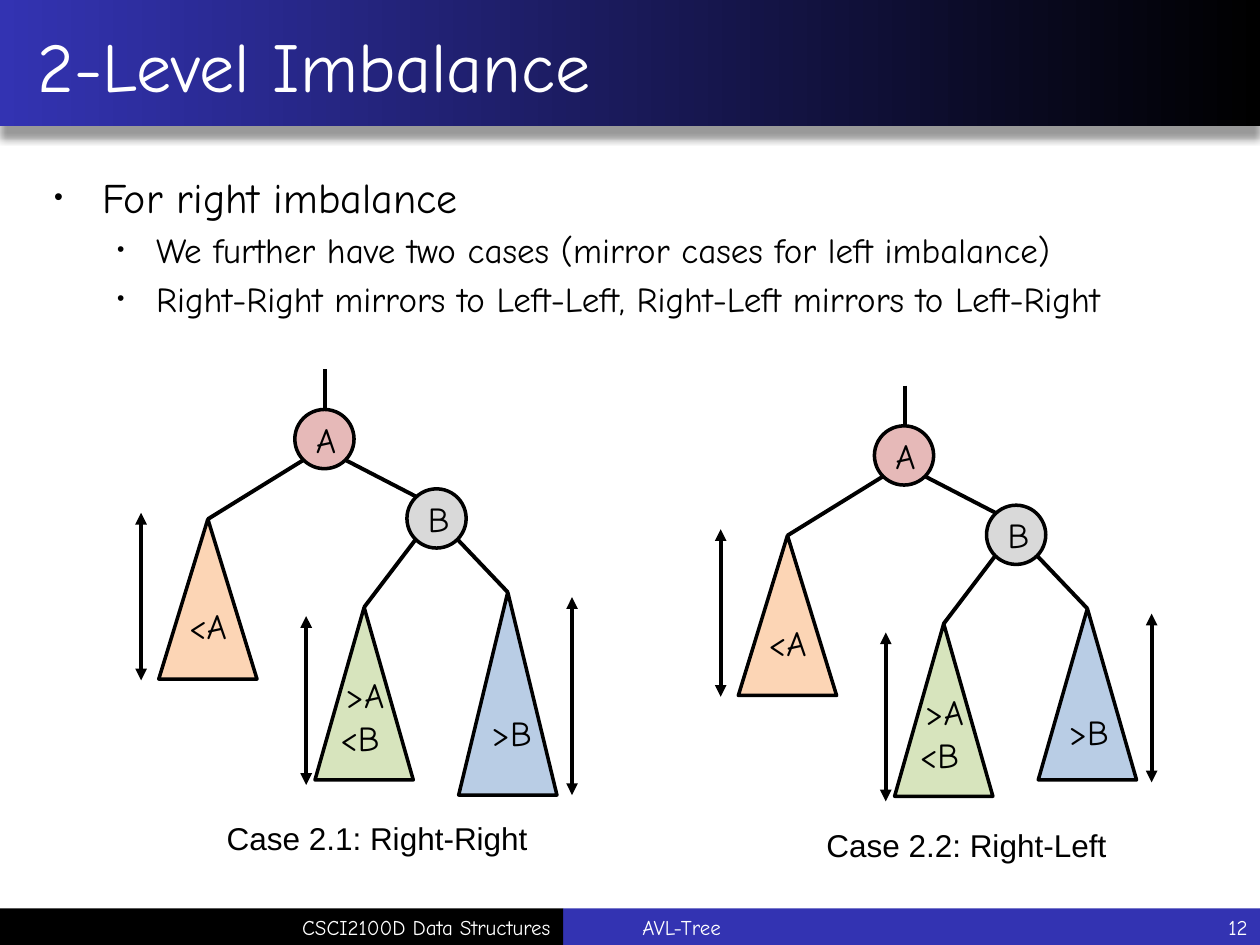
from lxml.etree import SubElement
from pptx import Presentation
from pptx.dml.color import RGBColor
from pptx.enum.shapes import MSO_CONNECTOR, MSO_SHAPE
from pptx.enum.text import MSO_ANCHOR, MSO_AUTO_SIZE, PP_ALIGN
from pptx.oxml import parse_xml
from pptx.oxml.ns import nsdecls, qn
from pptx.util import Inches, Pt

HAND_FONT = "Comic Neue"
BLACK, WHITE, BLUE = "000000", "FFFFFF", "3333B2"
NODE = 0.47
TREE_WIDTH = 0.78


def color(hex_string):
    return RGBColor.from_string(hex_string)


def inches(*lengths):
    return [Inches(length) for length in lengths]


def set_font(paragraph, size, hex_string=BLACK, name=HAND_FONT):
    paragraph.font.size = Pt(size)
    paragraph.font.name = name
    paragraph.font.color.rgb = color(hex_string)


def add_shape(slide, kind, box, fill, line_width=None):
    shape = slide.shapes.add_shape(kind, *inches(*box))
    shape.shadow.inherit = False
    shape.fill.solid()
    shape.fill.fore_color.rgb = color(fill)
    if line_width:
        shape.line.color.rgb = color(BLACK)
        shape.line.width = Pt(line_width)
    else:
        shape.line.fill.background()
    return shape


def add_text(slide, box, text, size, hex_string=BLACK, name=HAND_FONT,
             align=PP_ALIGN.LEFT, anchor=MSO_ANCHOR.TOP):
    frame = slide.shapes.add_textbox(*inches(*box)).text_frame
    frame.word_wrap = True
    frame.vertical_anchor = anchor
    paragraph = frame.paragraphs[0]
    paragraph.text = text
    paragraph.alignment = align
    set_font(paragraph, size, hex_string, name)


def add_line(slide, start, end, arrows=False):
    connector = slide.shapes.add_connector(
        MSO_CONNECTOR.STRAIGHT, *inches(*start, *end))
    connector.line.color.rgb = color(BLACK)
    connector.line.width = Pt(2.25)
    if arrows:
        line = connector.line._get_or_add_ln()
        for tag in ("a:headEnd", "a:tailEnd"):
            SubElement(line, qn(tag), type="triangle")
    SubElement(connector.element.spPr, qn("a:effectLst"))


def add_title(slide, left, top, width, height):
    title = slide.shapes.title
    band = add_shape(slide, MSO_SHAPE.RECTANGLE, (left, top, width, height), BLACK)
    band.fill.gradient()
    band.fill.gradient_angle = 180
    for stop, hex_string in zip(band.fill.gradient_stops, (BLACK, BLUE)):
        stop.color.rgb = color(hex_string)
    effects = band.element.spPr.find(qn("a:effectLst"))
    effects.append(parse_xml(
        f'<a:outerShdw {nsdecls("a")} blurRad="{Pt(4)}" dist="{Pt(7)}" '
        'dir="5400000" rotWithShape="0"><a:srgbClr val="000000">'
        '<a:alpha val="40000"/></a:srgbClr></a:outerShdw>'))
    title.element.addprevious(band.element)

    title.left, title.top, title.width, title.height = inches(
        left, top + 0.03, width, height - 0.03)
    frame = title.text_frame
    frame.text = "2-Level Imbalance"
    frame.auto_size = MSO_AUTO_SIZE.NONE
    frame.vertical_anchor = MSO_ANCHOR.MIDDLE
    paragraph = frame.paragraphs[0]
    paragraph.alignment = PP_ALIGN.LEFT
    paragraph._p.get_or_add_pPr().set("marL", str(Inches(0.2)))
    set_font(paragraph, 40, WHITE)


def add_bullets(slide, *box):
    body = slide.placeholders[1]
    body.left, body.top, body.width, body.height = inches(*box)
    frame = body.text_frame
    frame.auto_size = MSO_AUTO_SIZE.NONE
    items = [
        (0, "For right imbalance"),
        (1, "We further have two cases (mirror cases for left imbalance)"),
        (1, "Right-Right mirrors to Left-Left, Right-Left mirrors to Left-Right"),
    ]
    level_styles = [(24, 0.38, 0.38), (20, 0.81, 0.31)]
    for index, (level, text) in enumerate(items):
        size, margin, hanging = level_styles[level]
        paragraph = frame.add_paragraph() if index else frame.paragraphs[0]
        paragraph.text = text
        paragraph.level = level
        properties = paragraph._p.get_or_add_pPr()
        properties.set("marL", str(Inches(margin)))
        properties.set("indent", str(-Inches(hanging)))
        SubElement(properties, qn("a:buSzPct"), val="60000")
        SubElement(properties, qn("a:buFont"), typeface="Arial")
        SubElement(properties, qn("a:buChar"), char="•")
        paragraph.space_before = Pt(size * 0.2 if index else 0)
        set_font(paragraph, size)


def add_footer(slide, left, top, width, height):
    split = 4.47
    add_shape(slide, MSO_SHAPE.RECTANGLE,
              (left + split, top, width - split, height), BLUE)
    add_shape(slide, MSO_SHAPE.RECTANGLE, (left, top, split, height), BLACK)
    for offset, text_width, text, align in (
        (0, split, "CSCI2100D Data Structures", PP_ALIGN.RIGHT),
        (5, 3.75, "AVL-Tree", PP_ALIGN.LEFT),
        (8.75, 1.25, "12", PP_ALIGN.RIGHT),
    ):
        add_text(slide, (left + offset, top, text_width, height), text, 12,
                 WHITE, align=align, anchor=MSO_ANCHOR.MIDDLE)


def add_tree(slide, left, top, right_height, right_label, right_arrow_bottom):
    """Draw one case; only the subtree >B differs between cases."""
    def at(x, y):
        return left + x, top + y

    for start, end in (
        ((1.46, 0), (1.46, 0.32)),
        ((1.29, 0.72), (0.53, 1.19)),
        ((1.62, 0.72), (2.18, 1.01)),
        ((2.18, 1.35), (1.77, 1.89)),
        ((2.51, 1.35), (2.91, 1.77)),
    ):
        add_line(slide, at(*start), at(*end))

    for x, arrow_top, arrow_bottom in (
        (0, 1.14, 2.47), (1.31, 1.96, 3.3), (3.42, 1.81, right_arrow_bottom),
    ):
        add_line(slide, at(x, arrow_top), at(x, arrow_bottom), arrows=True)

    for x, y, height, fill in (
        (0.14, 1.19, 1.27, "FCD5B5"),
        (1.38, 1.89, 1.37, "D7E4BD"),
        (2.52, 1.77, right_height, "B9CDE5"),
    ):
        add_shape(slide, MSO_SHAPE.ISOSCELES_TRIANGLE,
                  (*at(x, y), TREE_WIDTH, height), fill, 2)

    for x, y, name, fill in (
        (1.22, 0.32, "A", "E6B9B8"), (2.11, 0.95, "B", "D9D9D9"),
    ):
        node = add_shape(slide, MSO_SHAPE.OVAL, (*at(x, y), NODE, NODE), fill, 2)
        node.text_frame.vertical_anchor = MSO_ANCHOR.MIDDLE
        paragraph = node.text_frame.paragraphs[0]
        paragraph.text = name
        paragraph.alignment = PP_ALIGN.CENTER
        set_font(paragraph, 20)

    for text, position in (
        ("<A", (0.28, 1.82)), (">A", (1.52, 2.37)),
        ("<B", (1.48, 2.71)), (">B", right_label),
    ):
        add_text(slide, (*at(*position), 0.55, 0.44), text, 20)


def main():
    presentation = Presentation()
    presentation.slide_width, presentation.slide_height = inches(10, 7.5)
    slide = presentation.slides.add_slide(presentation.slide_layouts[1])
    add_title(slide, 0, -0.01, 10, 1.01)
    add_bullets(slide, 0.33, 1.31, 9.17, 5.39)
    add_footer(slide, 0, 7.21, 10, 0.29)
    add_tree(slide, 1.12, 2.93, 1.61, (2.68, 2.67), 3.38)
    add_text(slide, (1.7, 6.45, 3.06, 0.4), "Case 2.1: Right-Right", 18, name="Arial")
    add_tree(slide, 5.72, 3.06, 1.36, (2.66, 2.53), 3.15)
    add_text(slide, (6.46, 6.51, 2.44, 0.4), "Case 2.2: Right-Left", 18, name="Arial")
    presentation.save("out.pptx")


if __name__ == "__main__":
    main()
